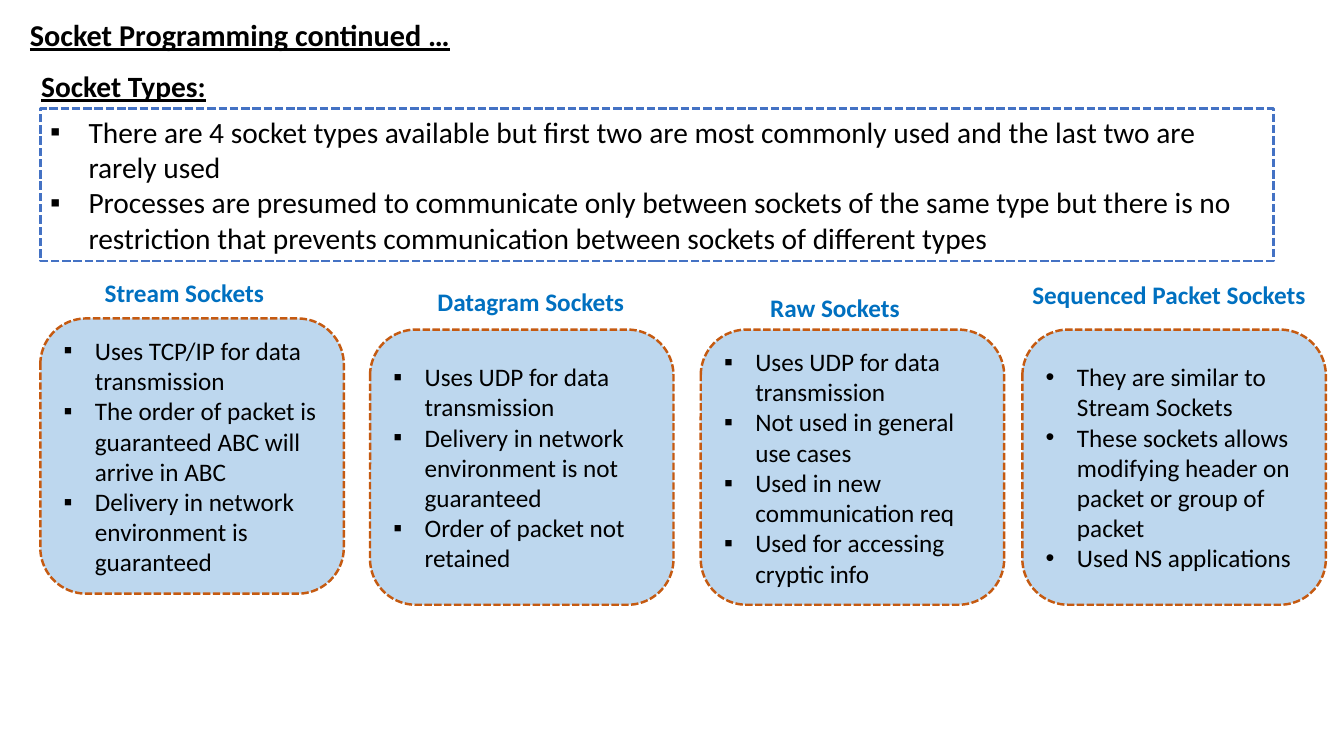
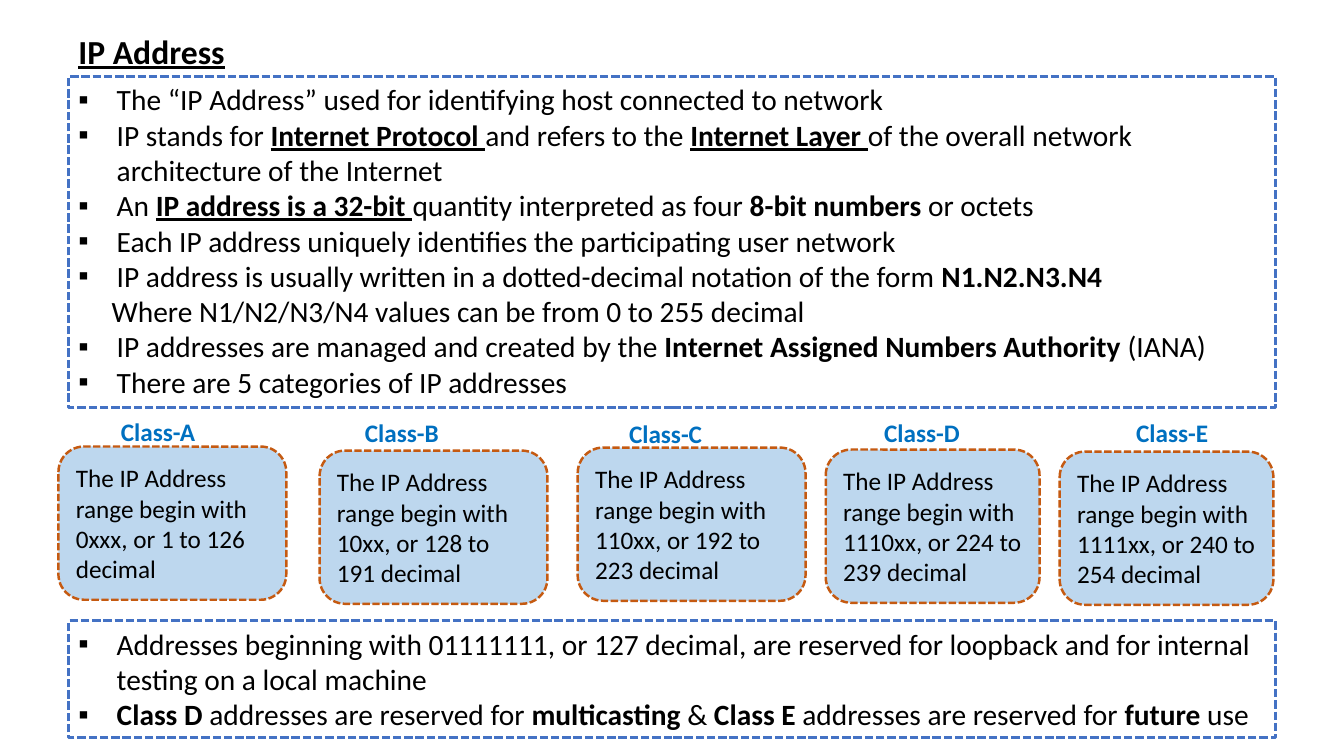
from dataclasses import dataclass
from lxml.etree import SubElement
from pptx import Presentation
from pptx.dml.color import RGBColor
from pptx.enum.dml import MSO_LINE
from pptx.enum.shapes import MSO_SHAPE
from pptx.enum.text import MSO_ANCHOR, PP_ALIGN
from pptx.oxml.ns import qn
from pptx.util import Inches, Pt


@dataclass(frozen=True)
class Theme:
    font: str = "Calibri"
    text: str = "000000"
    label: str = "0070C0"
    frame_line: str = "4472C4"
    card_line: str = "C55A11"
    card_fill: str = "BDD7EE"
    title_size: float = 24
    small_title_size: float = 21.6
    body_size: float = 21
    card_size: float = 18


theme = Theme()

# Block styles shared by the slides
TITLE = dict(size=theme.title_size, bold=True, underline=True,
             anchor=MSO_ANCHOR.BOTTOM, spacing=0.9)
SMALL_TITLE = dict(TITLE, size=theme.small_title_size, align=PP_ALIGN.CENTER)
HEADING = dict(size=theme.body_size, bold=True, underline=True)
LABEL = dict(size=theme.card_size, bold=True, color=theme.label)
FRAME = dict(shape=MSO_SHAPE.RECTANGLE, line=theme.frame_line, width=2,
             size=theme.body_size, bullet="▪", indent=0.38)
CARD = dict(shape=MSO_SHAPE.ROUNDED_RECTANGLE, fill=theme.card_fill,
            line=theme.card_line, width=1.75, size=theme.card_size,
            anchor=MSO_ANCHOR.MIDDLE)
LIST_CARD = dict(CARD, bullet="▪", indent=0.31)


def set_indent(p, left, bullet=None):
    """Indent a paragraph, hanging it behind a bullet if there is one."""
    pPr = p._p.get_or_add_pPr()
    pPr.set("marL", str(Inches(left)))
    if bullet:
        pPr.set("indent", str(-Inches(left)))
        SubElement(pPr, qn("a:buFont")).set("typeface", "Arial")
        SubElement(pPr, qn("a:buChar")).set("char", bullet)


def add_block(s, style, at, paragraphs):
    """Add a text block; ** toggles bold and __ toggles bold underlined."""
    box = [Inches(v) for v in at]
    if "shape" in style:
        sp = s.shapes.add_shape(style["shape"], *box)
        sp.shadow.inherit = False
        sp.line.color.rgb = RGBColor.from_string(style["line"])
        sp.line.width = Pt(style["width"])
        sp.line.dash_style = MSO_LINE.SQUARE_DOT
        if "fill" in style:
            sp.fill.solid()
            sp.fill.fore_color.rgb = RGBColor.from_string(style["fill"])
        else:
            sp.fill.background()
    else:
        sp = s.shapes.add_textbox(*box)
    tf = sp.text_frame
    tf.word_wrap = True
    tf.vertical_anchor = style.get("anchor", MSO_ANCHOR.TOP)
    for i, text in enumerate(paragraphs):
        p = tf.paragraphs[0] if i == 0 else tf.add_paragraph()
        p.alignment = style.get("align", PP_ALIGN.LEFT)
        if "spacing" in style:
            p.line_spacing = style["spacing"]
        if text.startswith("Where"):
            set_indent(p, 0.33)
        elif "bullet" in style:
            set_indent(p, style["indent"], style["bullet"])
        for j, bold_part in enumerate(text.split("**")):
            for k, part in enumerate(bold_part.split("__")):
                if not part:
                    continue
                r = p.add_run()
                r.text = part
                r.font.name = theme.font
                r.font.size = Pt(style["size"])
                r.font.color.rgb = RGBColor.from_string(style.get("color", theme.text))
                r.font.bold = style.get("bold", False) or j % 2 == 1 or k % 2 == 1
                r.font.underline = style.get("underline", False) or k % 2 == 1


prs = Presentation()
prs.slide_width, prs.slide_height = Inches(13.33), Inches(7.5)
blank = prs.slide_layouts[6]

# Slide 1: socket types
s = prs.slides.add_slide(blank)
add_block(s, SMALL_TITLE, (0, 0.16, 4.76, 0.42), ["Socket Programming continued …"])
add_block(s, HEADING, (0.31, 0.63, 2.2, 0.45), ["Socket Types:"])
add_block(s, FRAME, (0.4, 1.08, 12.23, 1.51), [
    "There are 4 socket types available but first two are most commonly used "
    "and the last two are rarely used",
    "Processes are presumed to communicate only between sockets of the same type "
    "but there is no restriction that prevents communication between sockets of "
    "different types",
])

# Label, its left and top, card left and top, bullet, points
socket_cards = [
    ("Stream Sockets", 0.94, 2.7, 0.4, 3.16, "▪", [
        "Uses TCP/IP for data transmission",
        "The order of packet is guaranteed ABC will arrive in ABC",
        "Delivery in network environment is guaranteed"]),
    ("Datagram Sockets", 4.24, 2.79, 3.67, 3.27, "▪", [
        "Uses UDP for data transmission",
        "Delivery in network environment is not guaranteed",
        "Order of packet not retained"]),
    ("Raw Sockets", 7.54, 2.85, 6.95, 3.27, "▪", [
        "Uses UDP for data transmission",
        "Not used in general use cases",
        "Used in new communication req",
        "Used for accessing cryptic info"]),
    ("Sequenced Packet Sockets", 10.14, 2.72, 10.14, 3.27, "•", [
        "They are similar to Stream Sockets",
        "These sockets allows modifying header on packet or group of packet",
        "Used NS applications"]),
]
for label, label_x, label_y, x, y, bullet, points in socket_cards:
    add_block(s, dict(LIST_CARD, bullet=bullet), (x, y, 3.01, 2.73), points)
    add_block(s, LABEL, (label_x, label_y, 3.16, 0.4), [label])

# Slide 2: IP address
s = prs.slides.add_slide(blank)
add_block(s, TITLE, (0.68, 0.29, 2.31, 0.47), ["IP Address"])
add_block(s, FRAME, (0.68, 0.76, 11.97, 3.28), [
    "The “IP Address” used for identifying host connected to network",
    "IP stands for __Internet Protocol __and refers to the __Internet Layer __"
    "of the overall network architecture of the Internet",
    "An __IP address is a 32-bit __quantity interpreted as four "
    "**8-bit numbers **or octets",
    "Each IP address uniquely identifies the participating user network",
    "IP address is usually written in a dotted-decimal notation of the form "
    "**N1.N2.N3.N4**",
    "Where N1/N2/N3/N4 values can be from 0 to 255 decimal",
    "IP addresses are managed and created by the\u00a0"
    "**Internet Assigned Numbers Authority\u00a0**(IANA)",
    "There are 5 categories of IP addresses",
])

# Class, label left and top, card left, top and width, address range
address_classes = [
    ("A", 1.1, 4.08, 0.58, 4.43, 2.26, "0xxx, or 1 to 126"),
    ("B", 3.52, 4.09, 3.17, 4.47, 2.26, "10xx, or 128 to 191"),
    ("C", 6.14, 4.1, 5.73, 4.44, 2.26, "110xx, or 192 to 223"),
    ("D", 8.67, 4.09, 8.19, 4.46, 2.12, "1110xx, or 224 to 239"),
    ("E", 11.17, 4.09, 10.51, 4.48, 2.12, "1111xx, or 240 to 254"),
]
for name, label_x, label_y, x, y, width, span in address_classes:
    add_block(s, CARD, (x, y, width, 1.52),
              [f"The IP Address range begin with {span} decimal"])
    add_block(s, LABEL, (label_x, label_y, 1.02, 0.4), [f"Class-{name}"])

# Reserved addresses
add_block(s, FRAME, (0.68, 6.16, 11.97, 1.16), [
    "Addresses beginning with\u00a001111111, or\u00a0127\u00a0decimal, are reserved "
    "for loopback and for internal testing on a local machine",
    "**Class D **addresses are reserved for **multicasting** & "
    "**Class E **addresses are reserved for **future** use",
])

prs.save("out.pptx")
